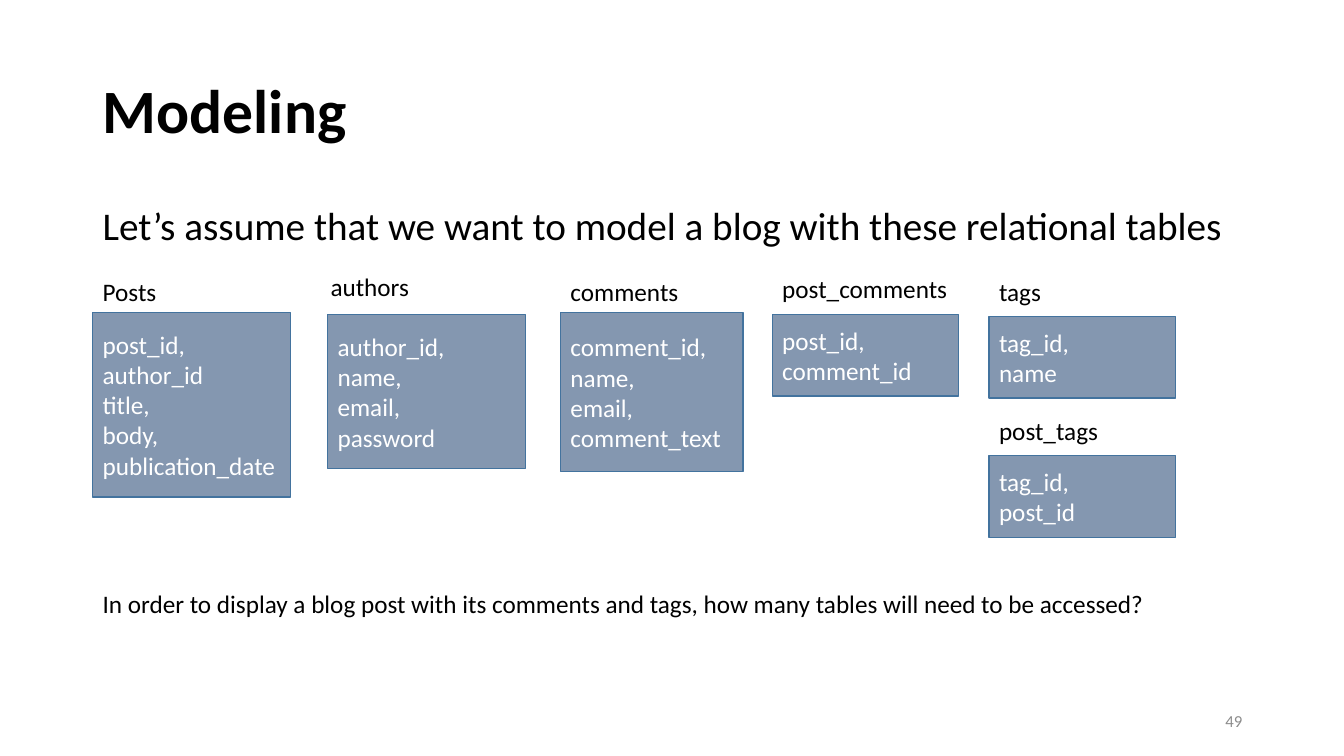
from dataclasses import dataclass

from pptx import Presentation
from pptx import util as u
from pptx.dml.color import RGBColor
from pptx.enum import shapes, text

FONT = "Calibri"
COLORS = {
    "ink": "000000",
    "fill": "8497B0",
    "edge": "43739E",
    "light": "FFFFFF",
    "gray": "8C8C8C",
}
LEFT, WIDE, LINE = 0.92, 11.5, 0.4


@dataclass
class Box:
    left: float
    top: float
    width: float
    height: float

    def spot(self) -> tuple:
        return tuple(u.Inches(n) for n in (self.left, self.top, self.width, self.height))


@dataclass
class Table:
    name: str
    label: Box
    body: Box
    fields: list[str]


TABLES = [
    Table("Posts", Box(LEFT, 2.69, 0.74, LINE), Box(LEFT, 3.1, 1.96, 1.83),
          ["post_id,", "author_id", "title,", "body,", "publication_date"]),
    Table("authors", Box(3.18, 2.64, 0.99, LINE), Box(3.25, 3.12, 1.96, 1.53),
          ["author_id,", "name,", "email,", "password"]),
    Table("comments", Box(5.56, 2.69, 1.28, LINE), Box(5.56, 3.1, 1.81, 1.58),
          ["comment_id,", "name,", "email,", "comment_text"]),
    Table("post_comments", Box(7.66, 2.66, 1.85, LINE), Box(7.66, 3.12, 1.85, 0.81),
          ["post_id,", "comment_id"]),
    Table("tags", Box(9.81, 2.69, 0.62, LINE), Box(9.81, 3.14, 1.85, 0.81),
          ["tag_id,", "name"]),
    Table("post_tags", Box(9.81, 4.07, 1.19, LINE), Box(9.81, 4.52, 1.85, 0.81),
          ["tag_id,", "post_id"]),
]


def color(name: str) -> RGBColor:
    return RGBColor.from_string(COLORS[name])


def write(shape, words: str, size: int = 18, ink: str = "ink", bold: bool = False,
          wrap: bool = True, align=text.PP_ALIGN.LEFT, anchor=text.MSO_ANCHOR.TOP):
    frame = shape.text_frame
    frame.text = words
    frame.word_wrap = wrap
    frame.auto_size = text.MSO_AUTO_SIZE.NONE
    frame.vertical_anchor = anchor
    for para in frame.paragraphs:
        para.alignment = align
        for run in para.runs:
            run.font.name = FONT
            run.font.size = u.Pt(size)
            run.font.bold = bold
            run.font.color.rgb = color(ink)
    return frame


def label(slide, box: Box, words: str, **style):
    return write(slide.shapes.add_textbox(*box.spot()), words, **style)


def draw(slide, table: Table) -> None:
    rect = slide.shapes.add_shape(shapes.MSO_SHAPE.RECTANGLE, *table.body.spot())
    rect.shadow.inherit = False
    rect.fill.solid()
    rect.fill.fore_color.rgb = color("fill")
    rect.line.color.rgb = color("edge")
    rect.line.width = u.Pt(1)
    write(rect, "\n".join(table.fields), ink="light", anchor=text.MSO_ANCHOR.MIDDLE)
    label(slide, table.label, table.name, wrap=False)


def main() -> None:
    deck = Presentation()
    deck.slide_width, deck.slide_height = u.Inches(13.33), u.Inches(7.5)
    slide = deck.slides.add_slide(deck.slide_layouts.get_by_name("Title Only"))

    title = slide.shapes.title
    title.left, title.top, title.width, title.height = Box(LEFT, 0.4, WIDE, 1.45).spot()
    head = write(title, "Modeling", size=44, bold=True, anchor=text.MSO_ANCHOR.MIDDLE)
    head.paragraphs[0].line_spacing = 0.9

    lead = label(slide, Box(LEFT, 2, WIDE, 0.62),
                 "Let’s assume that we want to model a blog with these relational tables",
                 size=28)
    lead.paragraphs[0].line_spacing = 0.9
    lead.paragraphs[0].space_before = u.Pt(10)

    for table in TABLES:
        draw(slide, table)

    label(slide, Box(LEFT, 5.79, WIDE, LINE),
          "In order to display a blog post with its comments and tags, "
          "how many tables will need to be accessed?")
    label(slide, Box(9.42, 6.95, 3, LINE), "49", size=12, ink="gray",
          align=text.PP_ALIGN.RIGHT, anchor=text.MSO_ANCHOR.MIDDLE)
    deck.save("out.pptx")


if __name__ == "__main__":
    main()
